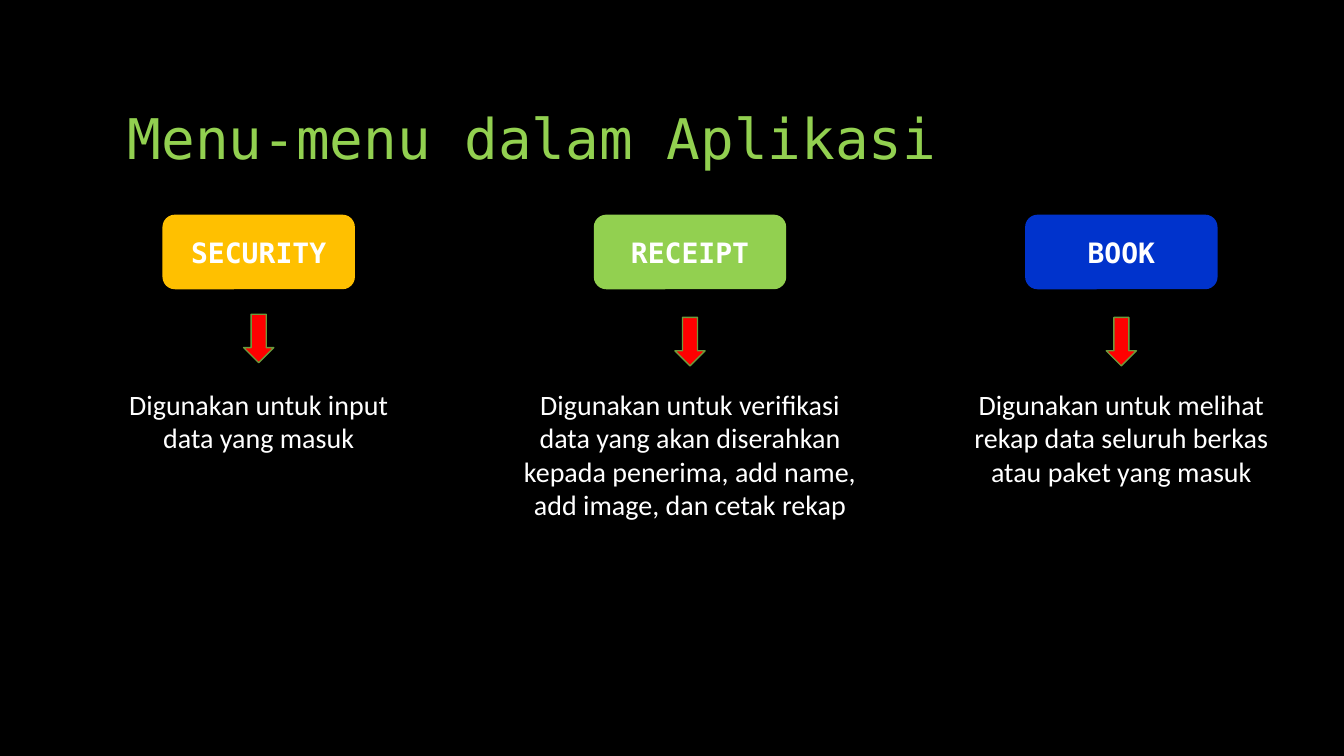
from pptx import Presentation
from pptx import util as u
from pptx.dml.color import RGBColor
from pptx.enum import shapes, text

BLACK = RGBColor(0x00, 0x00, 0x00)
WHITE = RGBColor(0xFF, 0xFF, 0xFF)
GREEN = RGBColor(0x92, 0xD0, 0x50)
DARK_GREEN = RGBColor(0x6C, 0x9A, 0x3B)
AMBER = RGBColor(0xFF, 0xC0, 0x00)
BLUE = RGBColor(0x00, 0x33, 0xCC)
RED = RGBColor(0xFF, 0x00, 0x00)
MONO = "DejaVu Sans Mono"
BODY = "Calibri"

FIRST_CENTER, COLUMN_STEP = 6.52, 10.87
MENUS = [
    ("SECURITY", AMBER, 7.92, 7.32, 1.96,
     "Digunakan untuk input data yang masuk"),
    ("RECEIPT", GREEN, 8.0, 9.32, 3.68,
     "Digunakan untuk verifikasi data yang akan diserahkan "
     "kepada penerima, add name, add image, dan cetak rekap"),
    ("BOOK", BLUE, 8.0, 8.79, 2.82,
     "Digunakan untuk melihat rekap data seluruh berkas "
     "atau paket yang masuk"),
]


def write(box, words, font=BODY, size=20, color=WHITE, bold=False,
          align=text.PP_ALIGN.CENTER, anchor=text.MSO_ANCHOR.TOP, spacing=None):
    frame = box.text_frame
    frame.word_wrap = True
    frame.vertical_anchor = anchor
    para = frame.paragraphs[0]
    para.alignment = align
    para.line_spacing = spacing
    span = para.add_run()
    span.text = words
    span.font.name = font
    span.font.size = u.Pt(size)
    span.font.bold = bold
    span.font.color.rgb = color


class MenuPage:
    """Draws the elements of the menu overview on one page."""

    def __init__(self, deck):
        self.page = deck.slides.add_slide(deck.slide_layouts[6])
        self.page.background.fill.solid()
        self.page.background.fill.fore_color.rgb = BLACK

    def shape(self, kind, center, top, width, height, fill):
        box = self.page.shapes.add_shape(
            kind, u.Cm(center - width / 2), u.Cm(top), u.Cm(width), u.Cm(height))
        box.shadow.inherit = False
        box.fill.solid()
        box.fill.fore_color.rgb = fill
        box.line.fill.background()
        return box

    def label(self, words, left, top, width, height, **style):
        box = self.page.shapes.add_textbox(
            u.Cm(left), u.Cm(top), u.Cm(width), u.Cm(height))
        write(box, words, **style)
        return box

    def title(self, words):
        self.label(words, 2.97, 1.27, 26.67, 3.18, font=MONO, size=40,
                   color=GREEN, align=text.PP_ALIGN.LEFT,
                   anchor=text.MSO_ANCHOR.BOTTOM, spacing=0.9)

    def button(self, words, center, fill):
        box = self.shape(shapes.MSO_SHAPE.ROUNDED_RECTANGLE,
                         center, 5.41, 4.85, 1.88, fill)
        write(box, words, font=MONO, bold=True, anchor=text.MSO_ANCHOR.MIDDLE)

    def arrow(self, center, top):
        arrow = self.shape(shapes.MSO_SHAPE.DOWN_ARROW,
                           center, top, 0.76, 1.22, RED)
        arrow.line.color.rgb = DARK_GREEN
        arrow.line.width = u.Pt(1)

    def description(self, words, center, width, height):
        box = self.label(words, center - width / 2, 9.63, width, height)
        box.text_frame.auto_size = text.MSO_AUTO_SIZE.SHAPE_TO_FIT_TEXT


def main():
    deck = Presentation()
    deck.slide_width, deck.slide_height = u.Cm(33.87), u.Cm(19.05)
    page = MenuPage(deck)
    page.title("Menu-menu dalam Aplikasi")
    for column, (name, fill, arrow_top, width, height, purpose) in enumerate(MENUS):
        center = FIRST_CENTER + column * COLUMN_STEP
        page.button(name, center, fill)
        page.arrow(center, arrow_top)
        page.description(purpose, center, width, height)
    deck.save("out.pptx")


if __name__ == "__main__":
    main()
